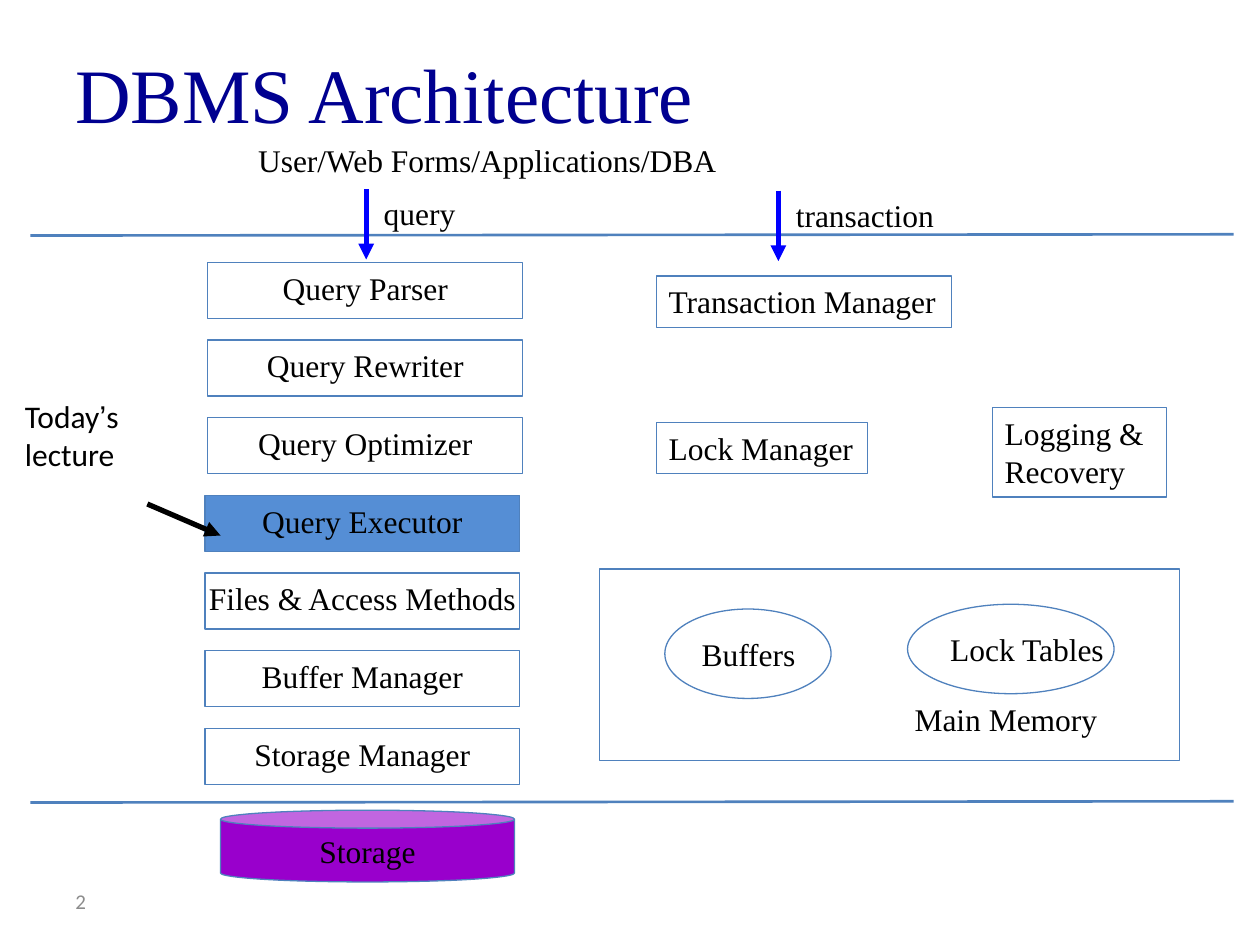
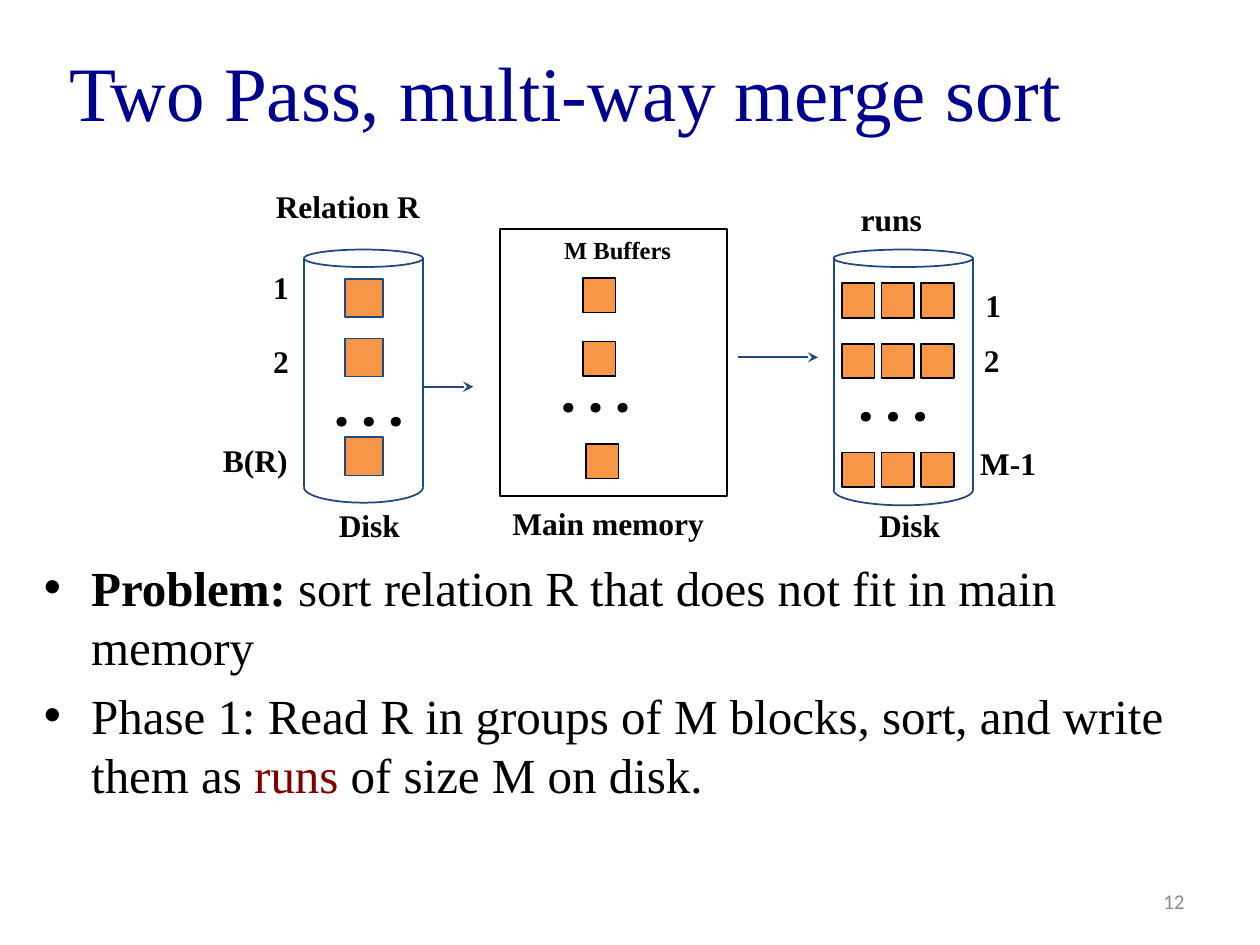
import math
from dataclasses import dataclass
from typing import Optional

import lxml.etree
import pptx
import pptx.dml.color
import pptx.enum.shapes
import pptx.enum.text
import pptx.oxml.ns
import pptx.util

Pt = pptx.util.Pt
RGBColor = pptx.dml.color.RGBColor
Shapes = pptx.enum.shapes.MSO_SHAPE
Align = pptx.enum.text.PP_ALIGN
Anchor = pptx.enum.text.MSO_ANCHOR
qn = pptx.oxml.ns.qn

# Shared colours and fonts
BLACK = RGBColor(0x00, 0x00, 0x00)
NAVY = RGBColor(0x00, 0x00, 0x90)
GRAY = RGBColor(0x8C, 0x8C, 0x8C)
BOX_BLUE = RGBColor(0x4F, 0x81, 0xBD)
HIGHLIGHT = RGBColor(0x55, 0x8E, 0xD5)
ARROW_BLUE = RGBColor(0x00, 0x00, 0xFF)
PURPLE = RGBColor(0x99, 0x00, 0xCC)
DISK_BLUE = RGBColor(0x1F, 0x49, 0x7D)
ORANGE = RGBColor(0xF7, 0x96, 0x46)
MAROON = RGBColor(0x80, 0x00, 0x00)
SERIF, SANS, DOTS = "Times New Roman", "Calibri", "Vollkorn"


@dataclass(frozen=True)
class Box:
    left: float
    top: float
    width: float
    height: float


@dataclass(frozen=True)
class Run:
    text: str
    size: float = 18
    color: RGBColor = BLACK
    bold: bool = False
    font: str = SERIF


@dataclass(frozen=True)
class Node:
    """An outlined shape that holds lines of text."""
    box: Box
    lines: tuple[str, ...] = ()
    kind: int = Shapes.RECTANGLE
    fill: Optional[RGBColor] = None
    align: int = Align.LEFT
    anchor: int = Anchor.TOP


@dataclass(frozen=True)
class Disk:
    left: float
    width: float
    bottom: float


# Drawing functions
def write(shape, paragraphs: list[list[Run]], align=Align.LEFT,
          anchor=Anchor.TOP, wrap: bool = False) -> None:
    frame = shape.text_frame
    frame.word_wrap = wrap
    frame.vertical_anchor = anchor
    for index, runs in enumerate(paragraphs):
        paragraph = frame.add_paragraph() if index else frame.paragraphs[0]
        paragraph.alignment = align
        for item in runs:
            run = paragraph.add_run()
            run.text = item.text
            run.font.size = Pt(item.size)
            run.font.name = item.font
            run.font.bold = item.bold
            run.font.color.rgb = item.color


def add_text(slide, box: Box, paragraphs: list[list[Run]], **layout):
    shape = slide.shapes.add_textbox(Pt(box.left), Pt(box.top),
                                     Pt(box.width), Pt(box.height))
    write(shape, paragraphs, **layout)
    return shape


def add_label(slide, left: float, top: float, text: str, width: float = 50,
              **style) -> None:
    run = Run(text, **style)
    add_text(slide, Box(left, top, width, run.size * 1.2 + 7.2), [[run]])


def paint(shape, fill: Optional[RGBColor], line: RGBColor, weight: float) -> None:
    shape.shadow.inherit = False
    if fill is None:
        shape.fill.background()
    else:
        shape.fill.solid()
        shape.fill.fore_color.rgb = fill
    shape.line.color.rgb = line
    shape.line.width = Pt(weight)


def add_outline(slide, kind, box: Box, fill: Optional[RGBColor],
                line: RGBColor, weight: float = 1):
    shape = slide.shapes.add_shape(kind, Pt(box.left), Pt(box.top),
                                   Pt(box.width), Pt(box.height))
    paint(shape, fill, line, weight)
    return shape


def add_node(slide, node: Node) -> None:
    shape = add_outline(slide, node.kind, node.box, node.fill, BOX_BLUE, 0.75)
    write(shape, [[Run(line)] for line in node.lines], node.align, node.anchor)


def add_line(slide, start: tuple[float, float], end: tuple[float, float],
             color: RGBColor, weight: float, head: Optional[str] = None) -> None:
    connector = slide.shapes.add_connector(
        pptx.enum.shapes.MSO_CONNECTOR.STRAIGHT,
        Pt(start[0]), Pt(start[1]), Pt(end[0]), Pt(end[1]))
    connector.line.color.rgb = color
    connector.line.width = Pt(weight)
    properties = connector.element.spPr
    if head:
        outline = properties.find(qn("a:ln"))
        lxml.etree.SubElement(outline, qn("a:tailEnd"), type=head)
    lxml.etree.SubElement(properties, qn("a:effectLst"))


def add_title(slide, box: Box, text: str) -> None:
    add_text(slide, box, [[Run(text, 44, NAVY)]], anchor=Anchor.MIDDLE, wrap=True)


def add_number(slide, left: float, text: str, align) -> None:
    add_text(slide, Box(left, 500.4, 168, 28.8), [[Run(text, 12, GRAY, font=SANS)]],
             align=align, anchor=Anchor.MIDDLE, wrap=True)


def add_disk(slide, disk: Disk) -> None:
    """An open cylinder: ellipse on top, two sides, half an ellipse below."""
    add_outline(slide, Shapes.OVAL, Box(disk.left, 142.6, disk.width, 10),
                None, DISK_BLUE)
    for x in (disk.left, disk.left + disk.width):
        add_line(slide, (x, 147.6), (x, disk.bottom), DISK_BLUE, 1)
    radius = disk.width / 2
    points = []
    for step in range(37):
        angle = math.pi * step / 36
        points.append((Pt(disk.left + radius + radius * math.cos(angle)),
                       Pt(disk.bottom + 8.8 * math.sin(angle))))
    builder = slide.shapes.build_freeform(*points[0])
    builder.add_line_segments(points[1:], close=False)
    paint(builder.convert_to_shape(), None, DISK_BLUE, 1)


def add_block(slide, left: float, top: float) -> None:
    add_outline(slide, Shapes.RECTANGLE, Box(left, top, 18.7, 19.8), ORANGE, BLACK)


def add_bullets(slide, box: Box, paragraphs: list[list[Run]]) -> None:
    shape = add_text(slide, box, paragraphs, wrap=True)
    for paragraph in shape.text_frame.paragraphs:
        paragraph.line_spacing = Pt(33.7)
        paragraph.space_before = Pt(5.6)
        properties = paragraph._p.get_or_add_pPr()
        properties.set("marL", str(Pt(27)))
        properties.set("indent", str(-Pt(27)))
        lxml.etree.SubElement(properties, qn("a:buFont"), typeface="Arial")
        lxml.etree.SubElement(properties, qn("a:buChar"), char="•")


def build_architecture(slide) -> None:
    add_number(slide, 36, "2", Align.LEFT)
    add_title(slide, Box(36, 7.9, 648, 90), "DBMS Architecture")

    # Borders between users, system and storage
    for y in (134.6, 458.6):
        add_line(slide, (17.3, y), (704.9, y - 0.7), BOX_BLUE, 1.5)

    # Query processing layers
    layers = ("Query Parser", "Query Rewriter", "Query Optimizer",
              "Query Executor", "Files & Access Methods",
              "Buffer Manager", "Storage Manager")
    for index, name in enumerate(layers):
        left = 118.8 if index < 3 else 117.1
        fill = HIGHLIGHT if name == "Query Executor" else None
        add_node(slide, Node(Box(left, 149.9 + 44.4 * index, 180, 32), (name,),
                             fill=fill, align=Align.CENTER))
    add_node(slide, Node(Box(126, 463, 168, 41), ("Storage",), Shapes.CAN,
                         PURPLE, Align.CENTER, Anchor.MIDDLE))

    # Transaction side and main memory
    nodes = (
        Node(Box(342.7, 325.2, 331.4, 109.6)),
        Node(Box(375, 157.7, 168.6, 29.4), ("Transaction Manager",)),
        Node(Box(375, 241.4, 120.6, 29.4), ("Lock Manager",)),
        Node(Box(567, 232.9, 99.4, 51.2), ("Logging &", "Recovery")),
        Node(Box(379.9, 348, 95, 51.1), ("Buffers",), Shapes.OVAL,
             anchor=Anchor.MIDDLE),
        Node(Box(518.6, 345.3, 118, 51.1), ("Lock Tables",), Shapes.OVAL,
             anchor=Anchor.MIDDLE),
    )
    for node in nodes:
        add_node(slide, node)
    add_label(slide, 515.5, 396.7, "Main Memory", 154)

    # Requests from above
    add_label(slide, 140.4, 77, "User/Web Forms/Applications/DBA", 366)
    for x, y, name, width in ((209.3, 108, "query", 55.4),
                              (444.8, 108.9, "transaction", 93.6)):
        add_line(slide, (x, y), (x, y + 40.3), ARROW_BLUE, 3, "triangle")
        add_label(slide, x + 2.9, y - 0.4, name, width)

    # Pointer to the layer of the day
    add_text(slide, Box(7.2, 223.2, 105, 64.8),
             [[Run("Today", font=SANS), Run("’", font="Arial"),
               Run("s", font=SANS)], [Run("lecture", font=SANS)]], wrap=True)
    add_line(slide, (84.2, 288), (126, 306), BLACK, 3, "triangle")


def build_merge_sort(slide) -> None:
    add_title(slide, Box(32.4, 13, 687.6, 77.8), "Two Pass, multi-way merge sort")
    add_number(slide, 516, "12", Align.RIGHT)

    # Containers
    add_outline(slide, Shapes.RECTANGLE, Box(285.8, 131, 129.6, 152.6), None, BLACK)
    add_disk(slide, Disk(173.7, 68, 278.5))
    add_disk(slide, Disk(476.4, 79.6, 280))
    add_line(slide, (242, 221), (270.5, 221), DISK_BLUE, 1, "stealth")
    add_line(slide, (421.8, 204.2), (467.5, 204.2), DISK_BLUE, 1, "stealth")

    # Blocks of the relation, the buffers and the runs
    for top in (159.3, 193.4, 249.9):
        add_outline(slide, Shapes.RECTANGLE, Box(197, top, 21.8, 21.8),
                    ORANGE, DISK_BLUE)
    for left, top in ((333, 158.7), (333, 195.2), (334.8, 253.6)):
        add_block(slide, left, top)
    for top in (161.8, 196.4, 258.6):
        for column in range(3):
            add_block(slide, 481 + 22.7 * column, top)

    # Labels
    for left, top, text, width in (
            (150.5, 103.2, "Relation R", 97.2), (484.7, 110.9, "runs", 49.7),
            (149, 149.8, "1", 23.8), (149, 192, "2", 23.8),
            (120.3, 248.4, "B(R)", 51.8), (556, 159.8, "1", 23.8),
            (555.2, 191.2, "2", 23.8), (553, 250, "M-1", 46.8),
            (186.5, 285.8, "Disk", 49.7), (285.8, 284.4, "Main memory", 125.3),
            (495.2, 285.8, "Disk", 49.7)):
        add_label(slide, left, top, text, width, bold=True)
    add_label(slide, 315.3, 131, "M Buffers", 76.3, size=14, bold=True)
    for left, top in ((183.6, 208), (313.2, 200.2), (483.2, 205.2)):
        add_label(slide, left, top, ". . .", 54.7, size=32, bold=True, font=DOTS)

    # Explanation
    add_bullets(slide, Box(18, 315, 687.6, 214), [
        [Run("Problem:", 28, bold=True),
         Run(" sort relation R that does not fit in main memory", 28)],
        [Run("Phase 1: Read R in groups of M blocks, sort, and write them as ", 28),
         Run("runs ", 28, MAROON), Run("of size M on disk.", 28)]])


presentation = pptx.Presentation()
presentation.slide_width = Pt(720)
presentation.slide_height = Pt(540)
blank_layout = presentation.slide_layouts[6]
for build in (build_architecture, build_merge_sort):
    build(presentation.slides.add_slide(blank_layout))
presentation.save("out.pptx")
